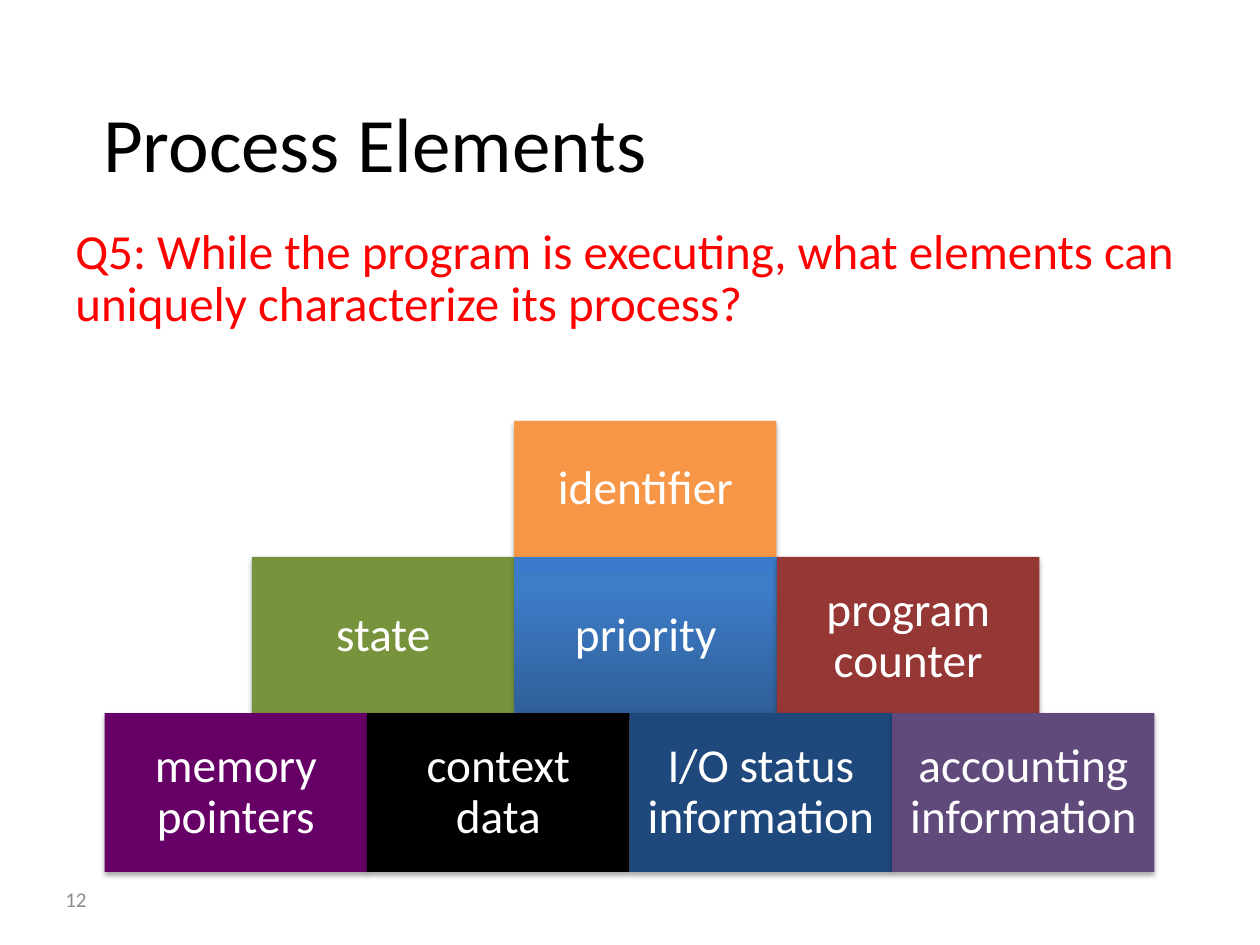
from dataclasses import dataclass

from lxml.etree import SubElement
from pptx import Presentation
from pptx.dml.color import RGBColor
from pptx.enum.shapes import MSO_SHAPE
from pptx.enum.text import MSO_ANCHOR, PP_ALIGN
from pptx.oxml import parse_xml
from pptx.oxml.ns import nsdecls, qn
from pptx.shapes.autoshape import Shape
from pptx.slide import Slide
from pptx.util import Inches, Pt

FONT = "Calibri"
WHITE = RGBColor(0xFF, 0xFF, 0xFF)
BLACK = RGBColor(0x00, 0x00, 0x00)
RED = RGBColor(0xFF, 0x00, 0x00)
GREY = RGBColor(0x8C, 0x8C, 0x8C)
ORANGE = RGBColor(0xF7, 0x96, 0x46)
GREEN = RGBColor(0x77, 0x93, 0x3C)
BRICK = RGBColor(0x95, 0x37, 0x35)
PURPLE = RGBColor(0x66, 0x00, 0x66)
NAVY = RGBColor(0x1F, 0x49, 0x7D)
VIOLET = RGBColor(0x60, 0x4A, 0x7B)
BLUE_STOPS = (
    (0, RGBColor(0x2F, 0x5F, 0x99)),
    (80, RGBColor(0x3D, 0x7C, 0xC7)),
    (100, RGBColor(0x3A, 0x7C, 0xCB)),
)
SLIDE_WIDTH, SLIDE_HEIGHT = Inches(10), Inches(7.5)
BLOCK_WIDTH = SLIDE_WIDTH * 5 / 24


@dataclass(frozen=True)
class Block:
    label: str
    fill: RGBColor | tuple[tuple[int, RGBColor], ...]


@dataclass(frozen=True)
class Tier:
    left: float
    top: float
    height: float
    blocks: tuple[Block, ...]


@dataclass(frozen=True)
class Caption:
    text: str
    left: float
    top: float
    width: float
    height: float
    size: int
    color: RGBColor
    anchor: MSO_ANCHOR = MSO_ANCHOR.MIDDLE
    line_spacing: float = 1.0


CAPTIONS = (
    Caption("Process Elements", 0.72, 0.5, 8.56, 1.25, 44, BLACK),
    Caption(
        "Q5: While the program is executing, what elements can uniquely characterize its process?",
        0.5, 1.75, 9, 1.53, 28, RED, MSO_ANCHOR.TOP, 0.9,
    ),
    Caption("12", 0.42, 6.94, 2.33, 0.4, 12, GREY),
)
PYRAMID = (
    Tier(4.08, 3.34, 1.08, (Block("identifier", ORANGE),)),
    Tier(2, 4.42, 1.26, (
        Block("state", GREEN),
        Block("priority", BLUE_STOPS),
        Block("program counter", BRICK),
    )),
    Tier(0.83, 5.66, 1.26, (
        Block("memory pointers", PURPLE),
        Block("context data", BLACK),
        Block("I/O status information", NAVY),
        Block("accounting information", VIOLET),
    )),
)


def write_text(box: Shape, text: str, size: int, color: RGBColor, line_spacing: float) -> None:
    """Write one wrapped paragraph into a box."""
    box.text_frame.word_wrap = True
    para = box.text_frame.paragraphs[0]
    para.text = text
    para.line_spacing = line_spacing
    para.font.name = FONT
    para.font.size = Pt(size)
    para.font.color.rgb = color


def add_caption(page: Slide, caption: Caption) -> None:
    """Place a plain text box on the page."""
    box = page.shapes.add_textbox(
        Inches(caption.left), Inches(caption.top), Inches(caption.width), Inches(caption.height)
    )
    box.text_frame.vertical_anchor = caption.anchor
    write_text(box, caption.text, caption.size, caption.color, caption.line_spacing)


def add_shadow(box: Shape) -> None:
    """Give a box a soft shadow falling straight down."""
    box.shadow.inherit = False
    effects = box._element.spPr.find(qn("a:effectLst"))
    shadow = SubElement(
        effects, qn("a:outerShdw"), blurRad=str(Pt(3.1)), dist=str(Pt(1.8)), dir="5400000", rotWithShape="0"
    )
    color = SubElement(shadow, qn("a:srgbClr"), val=str(BLACK))
    SubElement(color, qn("a:alpha"), val="35000")


def fill_gradient(box: Shape, stops: tuple[tuple[int, RGBColor], ...]) -> None:
    """Fill a box with a gradient that rises from bottom to top."""
    gradient = parse_xml(f'<a:gradFill {nsdecls("a")} rotWithShape="1"><a:gsLst/></a:gradFill>')
    for percent, color in stops:
        stop = SubElement(gradient[0], qn("a:gs"), pos=str(percent * 1000))
        SubElement(stop, qn("a:srgbClr"), val=str(color))
    SubElement(gradient, qn("a:lin"), ang="16200000", scaled="0")
    box._element.spPr.find(qn("a:prstGeom")).addnext(gradient)


def add_tier(page: Slide, tier: Tier) -> None:
    """Lay the blocks of one tier side by side."""
    for column, block in enumerate(tier.blocks):
        box = page.shapes.add_shape(
            MSO_SHAPE.RECTANGLE,
            round(Inches(tier.left) + column * BLOCK_WIDTH),
            Inches(tier.top),
            round(BLOCK_WIDTH),
            Inches(tier.height),
        )
        box.line.fill.background()
        if isinstance(block.fill, RGBColor):
            box.fill.solid()
            box.fill.fore_color.rgb = block.fill
        else:
            fill_gradient(box, block.fill)
        add_shadow(box)
        frame = box.text_frame
        frame.margin_left = frame.margin_right = Inches(0.11)
        frame.margin_top = frame.margin_bottom = Inches(0.11)
        frame.vertical_anchor = MSO_ANCHOR.MIDDLE
        write_text(box, block.label, 27, WHITE, 0.9)
        frame.paragraphs[0].alignment = PP_ALIGN.CENTER


def main() -> None:
    """Build the slide and save it."""
    deck = Presentation()
    deck.slide_width, deck.slide_height = SLIDE_WIDTH, SLIDE_HEIGHT
    page = deck.slides.add_slide(deck.slide_layouts[6])
    for caption in CAPTIONS:
        add_caption(page, caption)
    for tier in PYRAMID:
        add_tier(page, tier)
    deck.save("out.pptx")


if __name__ == "__main__":
    main()
